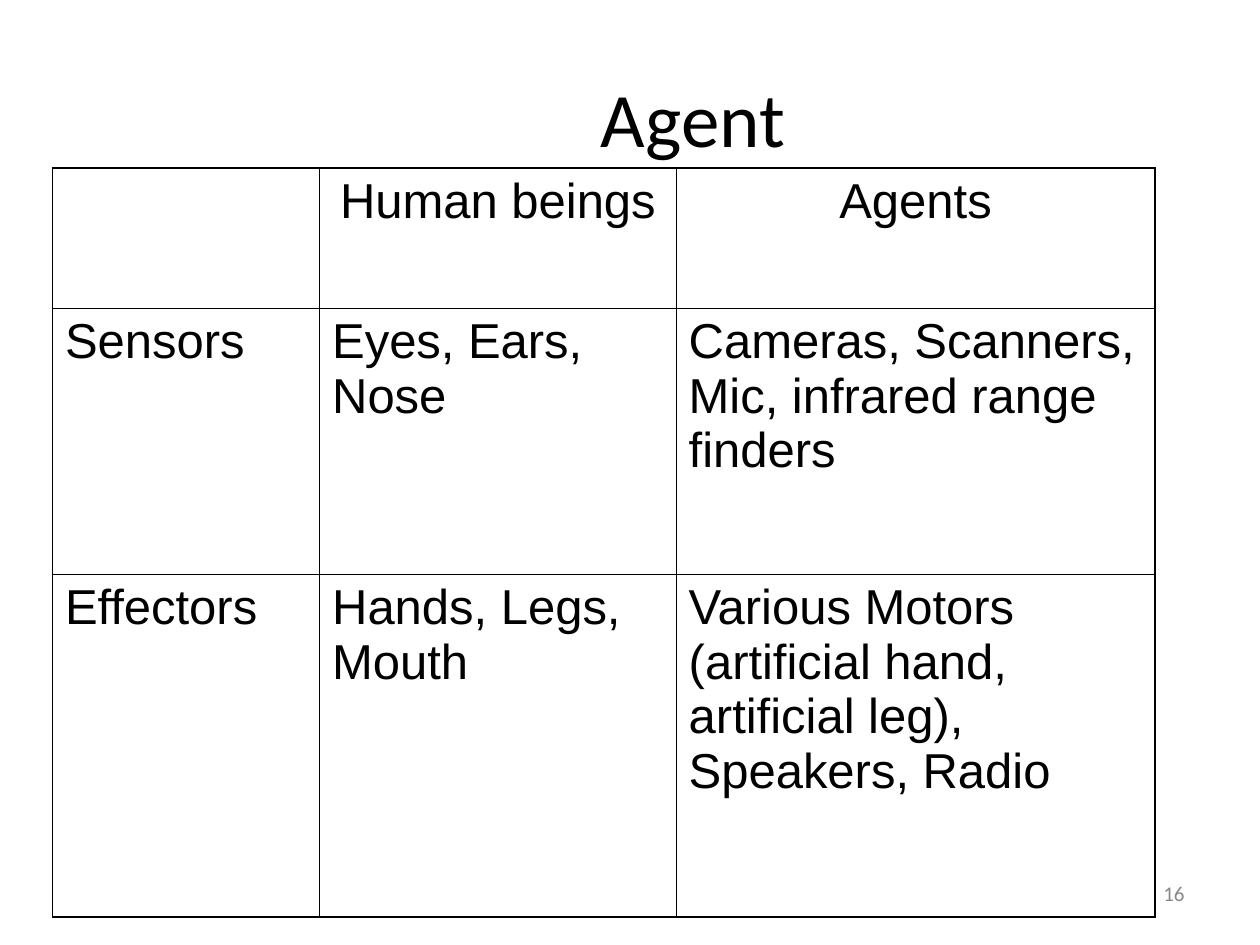
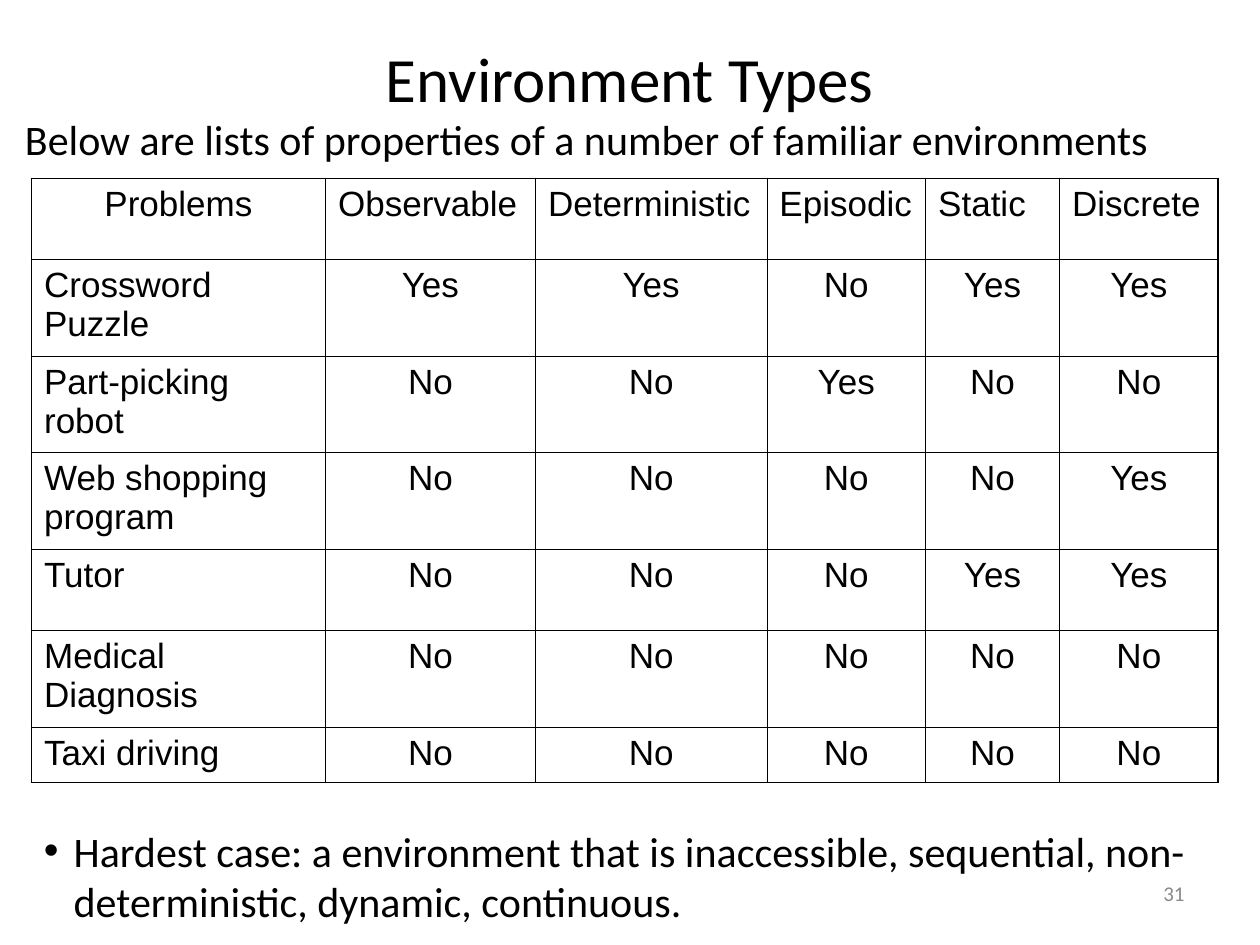
from dataclasses import dataclass

from lxml.etree import SubElement
from pptx import Presentation
from pptx.dml.color import RGBColor
from pptx.enum.text import MSO_ANCHOR, MSO_AUTO_SIZE, PP_ALIGN
from pptx.oxml.ns import qn
from pptx.util import Pt


@dataclass(frozen=True)
class Theme:
    """Colours, fonts, type sizes and line widths of the deck."""
    ink: str = "000000"
    grey: str = "898989"
    head: str = "Calibri"
    grid: str = "Arial"
    body: int = 24
    note: int = 12
    outer: float = 1.08
    inner: float = 0.45


LOOK = Theme()
LEFT, MID, RIGHT = PP_ALIGN.LEFT, PP_ALIGN.CENTER, PP_ALIGN.RIGHT
PAGE = (720, 540)
FOOT = (516.24, 491.76, 167.76, 37.44)
GROW = {"auto_size": MSO_AUTO_SIZE.SHAPE_TO_FIT_TEXT}
CENTRE = {"vertical_anchor": MSO_ANCHOR.MIDDLE}


def apply(item, form):
    """Set each value of a format dict on an item."""
    for name, value in form.items():
        setattr(item, name, value)


def write(para, text, size, face, align=LEFT, tint=LOOK.ink):
    """Fill a paragraph with styled text."""
    para.text = text
    para.alignment = align
    for run in para.runs:
        apply(run.font, {"size": Pt(size), "name": face})
        run.font.color.rgb = RGBColor.from_string(tint)


def add_text(slide, box, text, size, form, align=LEFT, tint=LOOK.ink):
    """Place a text box and return its paragraph."""
    frame = slide.shapes.add_textbox(*map(Pt, box)).text_frame
    apply(frame, {"word_wrap": True, **form})
    para = frame.paragraphs[0]
    write(para, text, size, LOOK.head, align, tint)
    return para


def add_tab(para, stop):
    """Give a paragraph a left tab stop."""
    tabs = SubElement(para._p.get_or_add_pPr(), qn("a:tabLst"))
    SubElement(tabs, qn("a:tab"), pos=str(Pt(stop)), algn="l")


def add_bullet(para, indent):
    """Give a paragraph a hanging round bullet."""
    props = para._p.get_or_add_pPr()
    apply_xml = {"marL": Pt(indent), "indent": -Pt(indent)}
    for name, value in apply_xml.items():
        props.set(name, str(value))
    SubElement(props, qn("a:buFont"), typeface="Arial")
    SubElement(props, qn("a:buChar"), char="•")


def add_edge(cell, side, width):
    """Draw one border of a cell."""
    line = SubElement(cell._tc.get_or_add_tcPr(), qn(f"a:ln{side}"), w=str(Pt(width)))
    fill = SubElement(line, qn("a:solidFill"))
    SubElement(fill, qn("a:srgbClr"), val=LOOK.ink)


def add_grid(slide, spot, wide, high, rows, size, align):
    """Place a ruled table whose align rule takes row and column."""
    box = (*spot, sum(wide), sum(high))
    table = slide.shapes.add_table(len(high), len(wide), *map(Pt, box)).table
    apply(table, {"first_row": False, "horz_banding": False})
    for col, width in zip(table.columns, wide):
        col.width = Pt(width)
    for r, (row, height) in enumerate(zip(rows, high)):
        table.rows[r].height = Pt(height)
        for c, text in enumerate(row):
            cell = table.cell(r, c)
            ends = {"L": c == 0, "R": c == len(wide) - 1,
                    "T": r == 0, "B": r == len(high) - 1}
            for side, end in ends.items():
                add_edge(cell, side, LOOK.outer if end else LOOK.inner)
            cell.fill.background()
            write(cell.text_frame.paragraphs[0], text, size, LOOK.grid, align(r, c))


def add_page(deck, title, box, size, number):
    """Start a slide with its title and page number."""
    slide = deck.slides.add_slide(deck.slide_layouts[6])
    para = add_text(slide, box, title, size, CENTRE, MID)
    if "\t" in title:
        add_tab(para, 72)
    add_text(slide, FOOT, number, LOOK.note, CENTRE, RIGHT, LOOK.grey)
    return slide


def agent_page(deck):
    """Compare the parts of human beings and agents."""
    slide = add_page(deck, "\tAgent", (36, 21.6, 648, 90), 44, "16")
    rows = [
        ("", "Human beings", "Agents"),
        ("Sensors", "Eyes, Ears, Nose",
         "Cameras, Scanners, Mic, infrared range finders"),
        ("Effectors", "Hands, Legs, Mouth",
         "Various Motors (artificial hand, artificial leg), Speakers, Radio"),
    ]
    add_grid(slide, (30, 96), (152.64, 203.76, 273.6), (80, 152, 196), rows, 28,
             lambda r, c: LEFT if r else MID)


def types_page(deck):
    """List the properties of familiar environments."""
    slide = add_page(deck, "Environment Types", (36, 21.6, 648, 44.64), 36, "31")
    marks = {
        "Crossword\nPuzzle": "YYNYY",
        "Part-picking\nrobot": "NNYNN",
        "Web shopping\nprogram": "NNNNY",
        "Tutor": "NNNYY",
        "Medical Diagnosis": "NNNNN",
        "Taxi driving": "NNNNN",
    }
    words = {"Y": "Yes", "N": "No"}
    rows = [("Problems", "Observable", "Deterministic", "Episodic", "Static", "Discrete")]
    rows += [(name, *(words[m] for m in code)) for name, code in marks.items()]
    short, tall = 46.2, 55.3
    add_grid(slide, (18, 102), (168, 120, 132.24, 90.72, 76.56, 90.72),
             (short, tall, tall, tall, short, tall, 31.8), rows, 20,
             lambda r, c: MID if (r == 0) == (c == 0) else LEFT)
    hard = add_text(slide, (18, 468, 702, 64.8),
                    "Hardest case: a environment that is inaccessible, sequential, "
                    "non-deterministic, dynamic, continuous.", LOOK.body, GROW)
    add_bullet(hard, 17)
    add_text(slide, (7.2, 61.2, 720, 36),
             "Below are lists of properties of a number of familiar environments",
             LOOK.body, GROW)


def main():
    """Build and save the deck."""
    deck = Presentation()
    apply(deck, dict(zip(("slide_width", "slide_height"), map(Pt, PAGE))))
    agent_page(deck)
    types_page(deck)
    deck.save("out.pptx")


if __name__ == "__main__":
    main()
